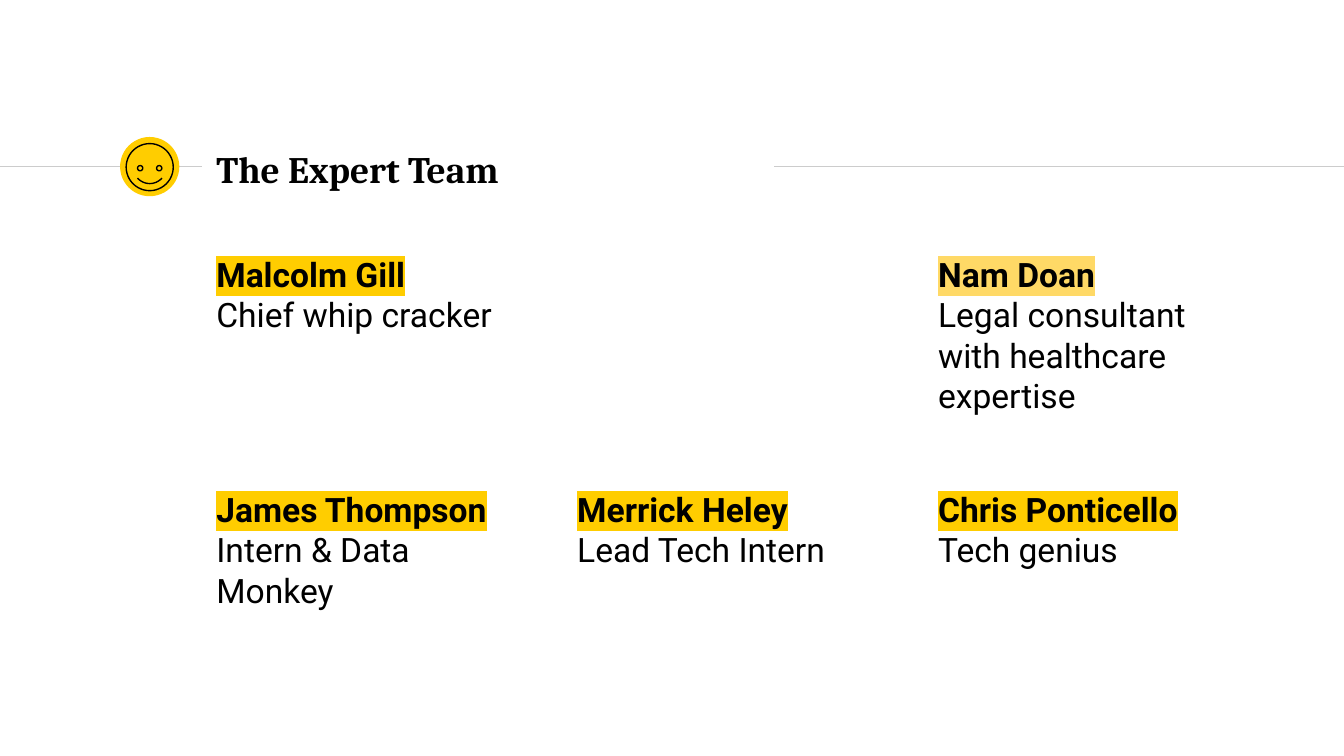
import math

from lxml import etree
from pptx import Presentation
from pptx.dml.color import RGBColor
from pptx.enum.shapes import MSO_CONNECTOR, MSO_SHAPE
from pptx.enum.text import MSO_ANCHOR
from pptx.oxml.ns import qn
from pptx.util import Cm, Pt

STRAIGHT = MSO_CONNECTOR.STRAIGHT
OVAL = MSO_SHAPE.OVAL
TOP, MIDDLE = MSO_ANCHOR.TOP, MSO_ANCHOR.MIDDLE

# Content
TITLE = "The Expert Team"
TEAM = [  # column, row, name, role, highlight colour
    (0, 0, "Malcolm Gill", "Chief whip cracker", "yellow"),
    (2, 0, "Nam Doan", "Legal consultant with healthcare expertise", "pale"),
    (0, 1, "James Thompson", "Intern & Data Monkey", "yellow"),
    (1, 1, "Merrick Heley", "Lead Tech Intern", "yellow"),
    (2, 1, "Chris Ponticello", "Tech genius", "yellow"),
]
COLORS = {"yellow": "FFCD00", "pale": "FFD966", "rule": "CCCCCC", "ink": "000000"}

# Layout in centimetres
SLIDE_WIDTH, SLIDE_HEIGHT = 25.4, 14.29
RULE_Y = 3.15
RULES = [(0, 3.81), (14.63, SLIDE_WIDTH)]
LEFT, COLUMN_STEP = 3.84, 6.82
TEAM_TOP, ROW_STEP = 4.55, 4.44
CARD_WIDTH, CARD_HEIGHT = 6.48, 3.35
FACE_X, FACE_Y = 2.83, 3.16
EYE_OFFSET_X, EYE_OFFSET_Y = 0.18, 0.02
SMILE_RADIUS, SMILE_START, SMILE_END = 0.31, 42, 138


def color(name):
    return RGBColor.from_string(COLORS[name])


def add_rule(slide, start, end):
    rule = slide.shapes.add_connector(STRAIGHT, Cm(start), Cm(RULE_Y), Cm(end), Cm(RULE_Y))
    rule.line.color.rgb = color("rule")
    rule.line.width = Pt(0.75)
    etree.SubElement(rule._element.spPr, qn("a:effectLst"))


def outline(shape):
    shape.shadow.inherit = False
    shape.fill.background()
    shape.line.color.rgb = color("ink")
    shape.line.width = Pt(0.75)


def add_circle(slide, x, y, diameter):
    return slide.shapes.add_shape(
        OVAL, Cm(x - diameter / 2), Cm(y - diameter / 2), Cm(diameter), Cm(diameter))


def add_text(slide, left, top, width, height, lines, anchor=TOP):
    """Each line is (text, font name, size, bold, highlight or None)."""
    frame = slide.shapes.add_textbox(Cm(left), Cm(top), Cm(width), Cm(height)).text_frame
    frame.word_wrap = True
    frame.vertical_anchor = anchor
    frame.margin_left = frame.margin_right = Cm(0.25)
    frame.margin_top = frame.margin_bottom = Cm(0.25)
    frame.text = "\n".join(line[0] for line in lines)
    for paragraph, (_, font_name, size, bold, highlight) in zip(frame.paragraphs, lines):
        run = paragraph.runs[0]
        run.font.size = Pt(size)
        run.font.bold = bold
        run.font.color.rgb = color("ink")
        if highlight:
            mark = etree.SubElement(run.font._element, qn("a:highlight"))
            etree.SubElement(mark, qn("a:srgbClr"), val=COLORS[highlight])
        run.font.name = font_name


def add_smiley(slide):
    # Head and eyes
    outline(add_circle(slide, FACE_X, FACE_Y, 0.89))
    for side in (1, -1):
        outline(add_circle(slide, FACE_X + side * EYE_OFFSET_X, FACE_Y + EYE_OFFSET_Y, 0.1))

    # Mouth: an arc around the centre of the face
    points = []
    for degrees in range(SMILE_START, SMILE_END + 1, 6):
        angle = math.radians(degrees)
        points.append((Cm(FACE_X + SMILE_RADIUS * math.cos(angle)),
                       Cm(FACE_Y + SMILE_RADIUS * math.sin(angle))))
    builder = slide.shapes.build_freeform(*points[0])
    builder.add_line_segments(points[1:], close=False)
    outline(builder.convert_to_shape())


def main():
    presentation = Presentation()
    presentation.slide_width = Cm(SLIDE_WIDTH)
    presentation.slide_height = Cm(SLIDE_HEIGHT)
    slide = presentation.slides.add_slide(presentation.slide_layouts[6])

    # Header rules and badge
    for start, end in RULES:
        add_rule(slide, start, end)
    badge = add_circle(slide, FACE_X, RULE_Y, 1.12)
    badge.shadow.inherit = False
    badge.fill.solid()
    badge.fill.fore_color.rgb = color("yellow")
    badge.line.fill.background()

    # Title
    add_text(slide, LEFT, 2.57, 10.77, 1.22, [(TITLE, "Cambria", 20, True, None)], MIDDLE)

    # Team members on a grid
    for column, row, name, role, highlight in TEAM:
        add_text(slide, LEFT + column * COLUMN_STEP, TEAM_TOP + row * ROW_STEP,
                 CARD_WIDTH, CARD_HEIGHT,
                 [(name, "Roboto", 18, True, highlight), (role, "Roboto", 18, False, None)])

    add_smiley(slide)
    presentation.save("out.pptx")


if __name__ == "__main__":
    main()
